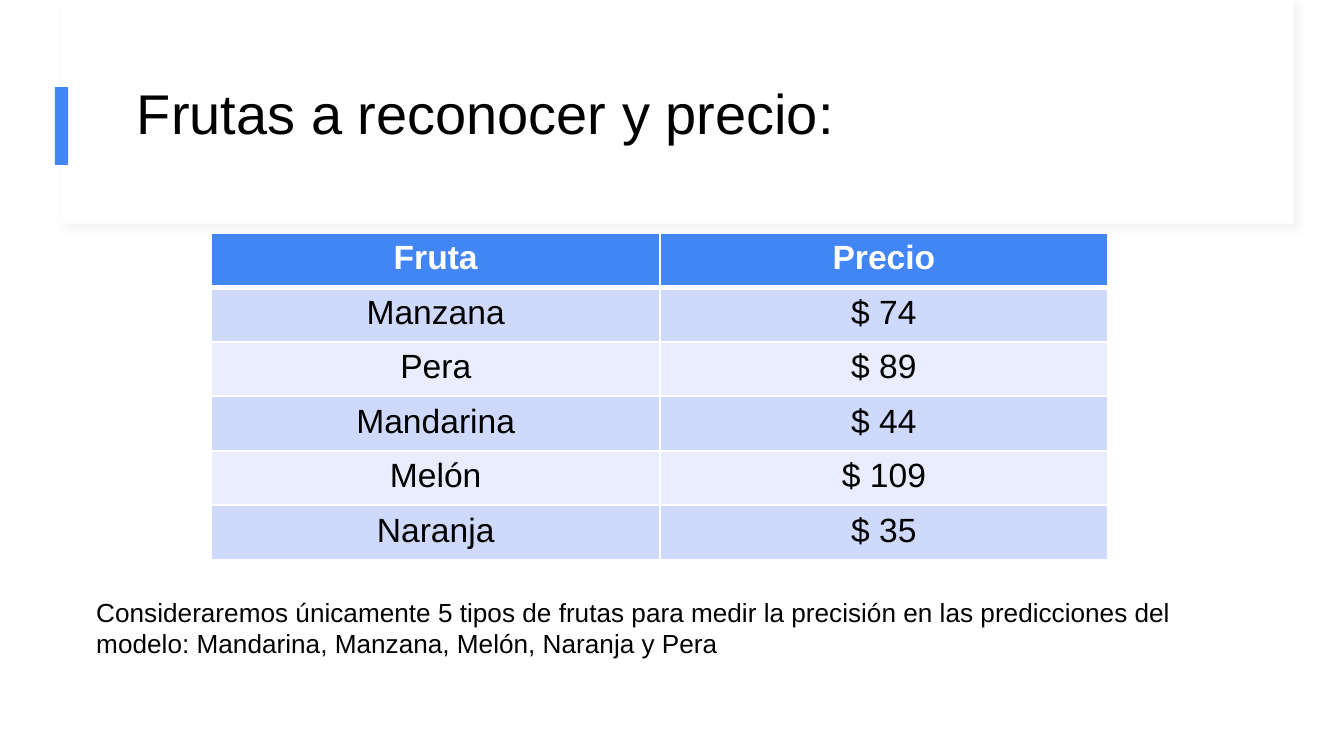
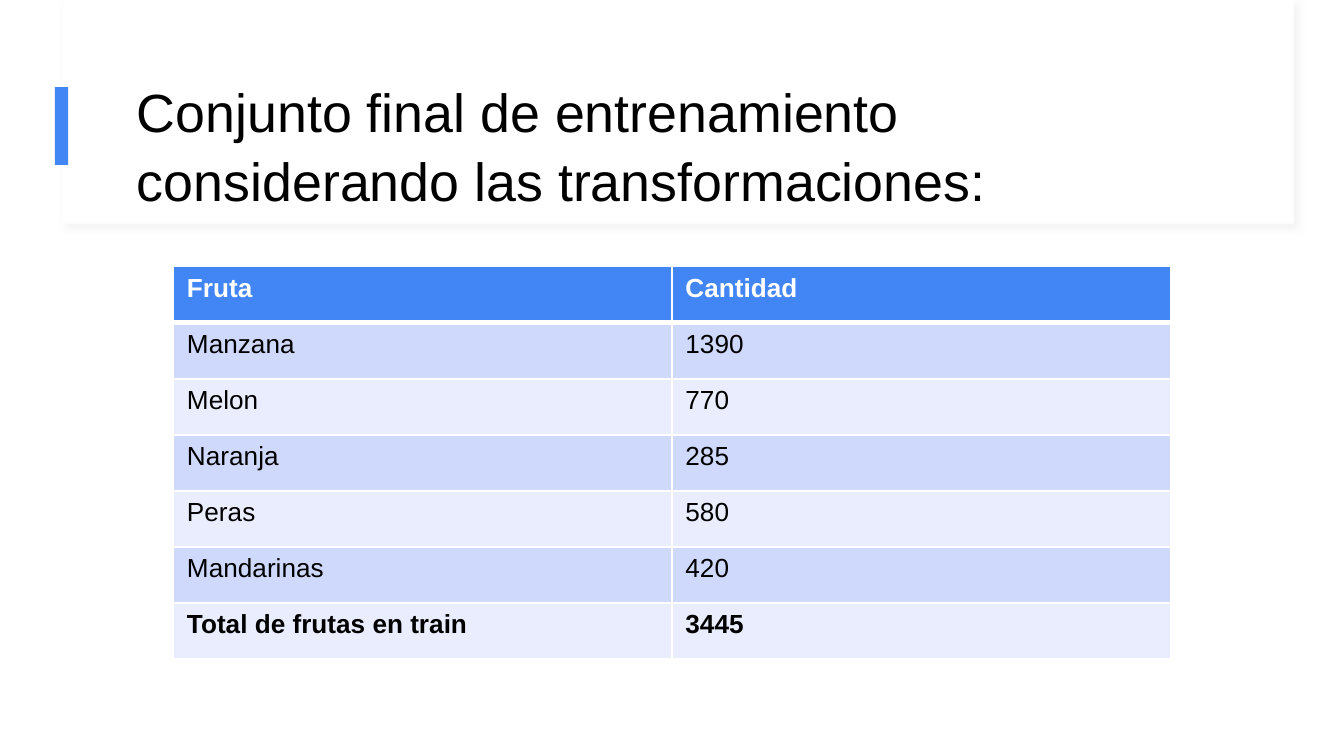
from lxml import etree
from pptx import Presentation
from pptx.dml.color import RGBColor
from pptx.enum.shapes import MSO_SHAPE
from pptx.enum.text import MSO_ANCHOR, PP_ALIGN
from pptx.oxml import parse_xml
from pptx.util import Cm, Pt

RECT = MSO_SHAPE.RECTANGLE
TOP = MSO_ANCHOR.TOP
LEFT, CENTER = PP_ALIGN.LEFT, PP_ALIGN.CENTER
NS = "http://schemas.openxmlformats.org/drawingml/2006/main"


class Theme:
    font = "Arial"
    white = RGBColor.from_string("FFFFFF")
    black = RGBColor.from_string("000000")
    blue = RGBColor.from_string("4285F4")
    edge = RGBColor.from_string("FDFDFD")
    shade = "D9D9D9"
    bands = [RGBColor.from_string("CFD9FB"), RGBColor.from_string("E9EDFD")]
    note = 14
    rule, thick = 1, 3


def style(frame, size, color, bold=False, align=LEFT):
    for para in frame.paragraphs:
        para.alignment = align
        for run in para.runs:
            run.font.name = Theme.font
            run.font.size = Pt(size)
            run.font.bold = bold
            run.font.color.rgb = color


def write(slide, box, text, size):
    frame = slide.shapes.add_textbox(*map(Cm, box)).text_frame
    frame.word_wrap = True
    frame.vertical_anchor = TOP
    frame.text = text
    style(frame, size, Theme.black)
    return frame


pages = [
    {
        "title": "Frutas a reconocer y precio:",
        "size": 30, "high": 2.46,
        "left": 4, "top": 4.4, "col": 8.47, "row": 1.03,
        "text": 18, "align": CENTER, "total": False,
        "rows": [("Fruta", "Precio"), ("Manzana", "$ 74"), ("Pera", "$ 89"),
                 ("Mandarina", "$ 44"), ("Melón", "$ 109"), ("Naranja", "$ 35")],
        "note": "Consideraremos únicamente 5 tipos de frutas para medir la precisión "
                "en las predicciones del modelo: Mandarina, Manzana, Melón, Naranja y Pera",
    },
    {
        "title": "Conjunto final de entrenamiento considerando las transformaciones:",
        "size": 28.8, "high": 3.02,
        "left": 3.28, "top": 5.04, "col": 9.42, "row": 1.06,
        "text": 14, "align": LEFT, "total": True,
        "rows": [("Fruta", "Cantidad"), ("Manzana", "1390"), ("Melon", "770"),
                 ("Naranja", "285"), ("Peras", "580"), ("Mandarinas", "420"),
                 ("Total de frutas en train", "3445")],
        "note": "",
    },
]
panels = [
    ((1.17, 0, 23.27, 4.22), Theme.white, Theme.edge),
    ((1.19, 0, 23.24, 4.19), Theme.white, None),
    ((1.04, 1.65, 0.25, 1.47), Theme.blue, None),
]

deck = Presentation()
deck.slide_width, deck.slide_height = Cm(25.4), Cm(14.29)

for page in pages:
    slide = deck.slides.add_slide(deck.slide_layouts[6])
    slide.background.fill.solid()
    slide.background.fill.fore_color.rgb = Theme.white

    for box, fill, edge in panels:
        panel = slide.shapes.add_shape(RECT, *map(Cm, box))
        panel.shadow.inherit = False
        panel.fill.solid()
        panel.fill.fore_color.rgb = fill
        if edge is None:
            panel.line.fill.background()
            continue
        panel.line.color.rgb = edge
        panel.line.width = Pt(0.75)
        glow = panel._element.spPr.find(f"{{{NS}}}effectLst")
        glow.append(parse_xml(
            f'<a:outerShdw xmlns:a="{NS}" blurRad="{Pt(4)}" dist="{Pt(3)}" dir="2700000">'
            f'<a:srgbClr val="{Theme.shade}"><a:alpha val="30000"/></a:srgbClr></a:outerShdw>'))

    frame = write(slide, (2.34, 1.14, 21.18, page["high"]), page["title"], page["size"])
    frame.margin_left = frame.margin_top = frame.margin_bottom = Cm(0.25)
    frame.margin_right = Cm(0.5)
    frame.paragraphs[0].line_spacing = 1.08

    rows = page["rows"]
    last = len(rows) - 1
    grid = slide.shapes.add_table(
        len(rows), 2, Cm(page["left"]), Cm(page["top"]),
        Cm(page["col"] * 2), Cm(page["row"] * len(rows))).table
    for col in grid.columns:
        col.width = Cm(page["col"])
    for r, row in enumerate(rows):
        grid.rows[r].height = Cm(page["row"])
        head = r == 0
        bold = head or (page["total"] and r == last)
        for c, text in enumerate(row):
            cell = grid.cell(r, c)
            cell.text_frame.text = text
            style(cell.text_frame, page["text"], Theme.white if head else Theme.black,
                  bold, page["align"])
            cell.fill.solid()
            cell.fill.fore_color.rgb = Theme.blue if head else Theme.bands[(r - 1) % 2]
            props = cell._tc.get_or_add_tcPr()
            for spot, side in enumerate("LRTB"):
                wide = (side == "B" and head) or (side == "T" and r == 1)
                line = etree.Element(f"{{{NS}}}ln{side}")
                line.set("w", str(Pt(Theme.thick if wide else Theme.rule)))
                paint = etree.SubElement(line, f"{{{NS}}}solidFill")
                etree.SubElement(paint, f"{{{NS}}}srgbClr").set("val", str(Theme.white))
                props.insert(spot, line)

    if page["note"]:
        write(slide, (1.57, 11.15, 22.28, 2.06), page["note"], Theme.note)

deck.save("out.pptx")
